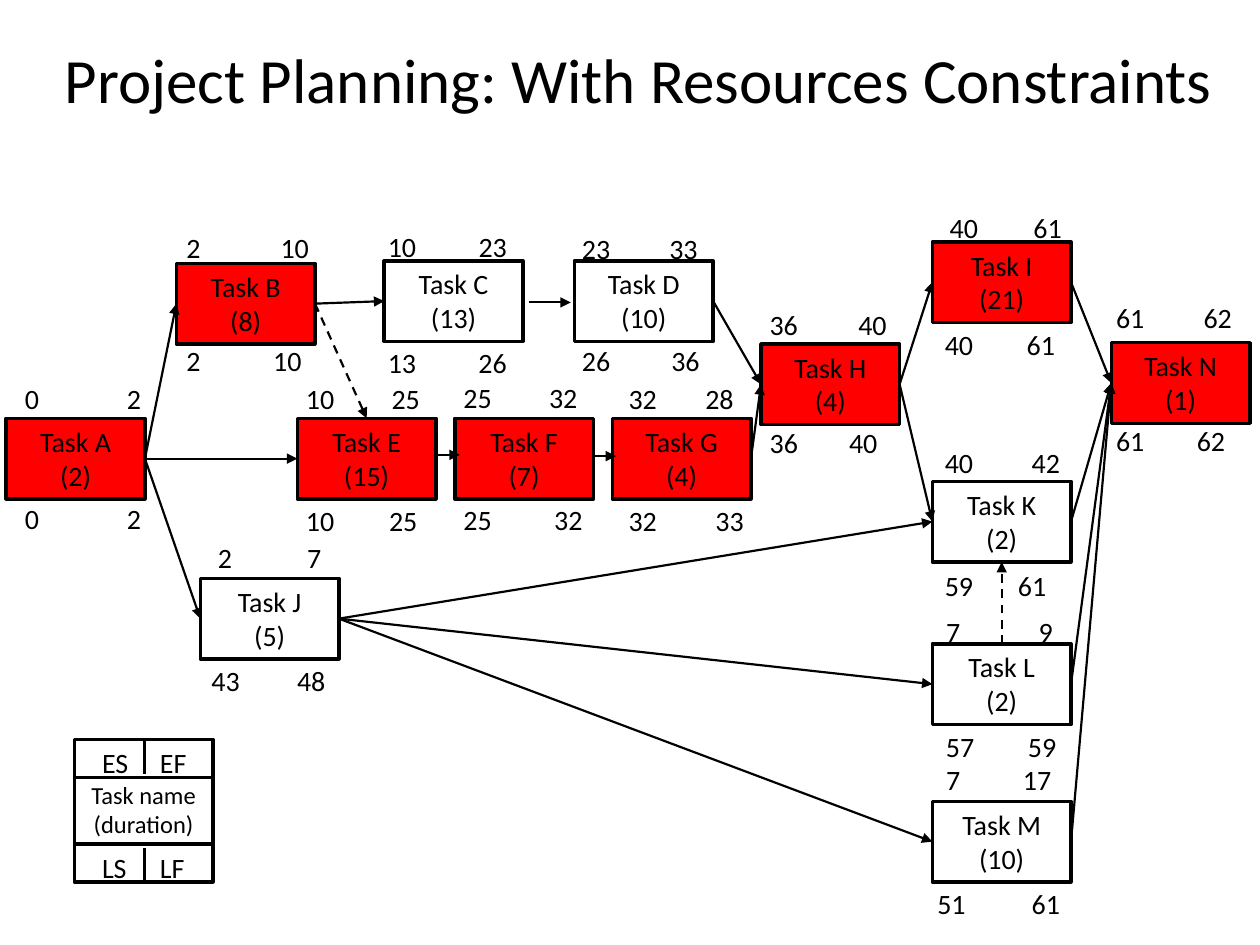
from typing import NamedTuple

from lxml import etree
from pptx import Presentation
from pptx import util as u
from pptx.dml.color import RGBColor
from pptx.enum import dml, shapes, text
from pptx.oxml import ns

BLACK = RGBColor(0x00, 0x00, 0x00)
WHITE = RGBColor(0xFF, 0xFF, 0xFF)
RED = RGBColor(0xFF, 0x00, 0x00)
BOX_W, BOX_H = 1.1, 0.64
LEFT, CENTER, RIGHT = text.PP_ALIGN.LEFT, text.PP_ALIGN.CENTER, text.PP_ALIGN.RIGHT
Point = tuple[float, float]


class Label(NamedTuple):
    value: str
    left: float
    width: float = 0.5
    align: text.PP_ALIGN = LEFT


class Task(NamedTuple):
    name: str
    days: int
    left: float
    top: float
    fill: RGBColor | None
    early_top: float
    late_top: float
    times: tuple[Label, Label, Label, Label]

    @property
    def start(self) -> Point:
        return self.left, self.top + BOX_H / 2

    @property
    def finish(self) -> Point:
        return self.left + BOX_W, self.top + BOX_H / 2

    @property
    def above(self) -> Point:
        return self.left + BOX_W / 2, self.top

    @property
    def below(self) -> Point:
        return self.left + BOX_W / 2, self.top + BOX_H


class LegendRow(NamedTuple):
    start: str
    finish: str
    top: float
    divider_top: float


TASKS = [
    Task("A", 2, 0.05, 3.32, RED, 2.98, 3.93,
         (Label("0", 0.1, 0.26), Label("2", 0.91, 0.26), Label("0", 0.1, 0.26), Label("2", 0.91, 0.26))),
    Task("B", 8, 1.4, 2.09, RED, 1.78, 2.68,
         (Label("2", 1.38, 0.28), Label("10", 1.99, 0.56, RIGHT), Label("2", 1.38, 0.28), Label("10", 2.07, 0.56))),
    Task("C", 13, 3.05, 2.07, None, 1.77, 2.69,
         (Label("10", 2.98, 0.53), Label("23", 3.7, 0.53), Label("13", 2.98, 0.53), Label("26", 3.66, 0.5, CENTER))),
    Task("D", 10, 4.56, 2.07, None, 1.79, 2.68,
         (Label("23", 4.52), Label("33", 5.16, 0.53, CENTER), Label("26", 4.52), Label("36", 5.19, 0.5, CENTER))),
    Task("E", 15, 2.36, 3.32, RED, 2.98, 3.95,
         (Label("10", 2.33), Label("25", 2.94, 0.56, CENTER), Label("10", 2.33, 0.54), Label("25", 2.99))),
    Task("F", 7, 3.61, 3.32, RED, 2.97, 3.94,
         (Label("25", 3.58), Label("32", 4.19, 0.56, CENTER), Label("25", 3.58, 0.59), Label("32", 4.3))),
    Task("G", 4, 4.86, 3.32, RED, 2.98, 3.95,
         (Label("32", 4.89, 0.53), Label("28", 5.5, 0.56), Label("32", 4.89, 0.58), Label("33", 5.58, 0.48))),
    Task("H", 4, 6.04, 2.73, RED, 2.39, 3.33,
         (Label("36", 6.01), Label("40", 6.66, 0.53, CENTER), Label("36", 6.01, 0.58), Label("40", 6.64))),
    Task("I", 21, 7.4, 1.92, RED, 1.62, 2.55,
         (Label("40", 7.4, 0.5, CENTER), Label("61", 8.05, 0.53, CENTER), Label("40", 7.4), Label("61", 8.05, 0.48))),
    Task("J", 5, 1.59, 4.59, WHITE, 4.24, 5.22,
         (Label("2", 1.63, 0.28), Label("7", 2.34, 0.56), Label("43", 1.58, 0.57), Label("48", 2.26, 0.53))),
    Task("K", 2, 7.4, 3.82, WHITE, 3.49, 4.46,
         (Label("40", 7.4, 0.44), Label("42", 8.09), Label("59", 7.4), Label("61", 7.98, 0.55))),
    Task("L", 2, 7.4, 5.11, WHITE, 4.83, 5.74,
         (Label("7", 7.41, 0.28), Label("9", 8.02, 0.56, CENTER), Label("57", 7.41), Label("59", 8.06, 0.52))),
    Task("M", 10, 7.4, 6.36, WHITE, 6.0, 6.99,
         (Label("7", 7.41, 0.28), Label("17", 8.02, 0.56), Label("51", 7.34, 0.52), Label("61", 8.09))),
    Task("N", 1, 8.82, 2.72, RED, 2.34, 3.31,
         (Label("61", 8.76), Label("62", 9.4, 0.53, CENTER), Label("61", 8.76), Label("62", 9.4, 0.53))),
]
LINKS = "AB AE AJ BC DH GH HI HK IN KN LN MN JK JL JM".split()
SHORT_LINKS = [((3.45, 3.61), (3.65, 3.61)), ((4.2, 2.4), (4.53, 2.4)), ((4.7, 3.62), (4.89, 3.62))]
LEGEND_LEFT = 0.59
LEGEND_ROWS = [LegendRow("ES", "EF", 5.87, 5.87), LegendRow("LS", "LF", 6.7, 6.73)]


def write(tf, lines: list[str], size: float = 16, align: text.PP_ALIGN = CENTER) -> None:
    for i, line in enumerate(lines):
        p = tf.paragraphs[0] if i == 0 else tf.add_paragraph()
        p.alignment = align
        r = p.add_run()
        r.text = line
        for name, value in {"name": "Calibri", "size": u.Pt(size)}.items():
            setattr(r.font, name, value)
        r.font.color.rgb = BLACK


def add_box(s, left: float, top: float, height: float, fill: RGBColor | None):
    sp = s.shapes.add_shape(shapes.MSO_SHAPE.RECTANGLE, *map(u.Inches, (left, top, BOX_W, height)))
    sp.shadow.inherit = False
    if fill is None:
        sp.fill.background()
    else:
        sp.fill.solid()
        sp.fill.fore_color.rgb = fill
    sp.line.color.rgb = BLACK
    sp.line.width = u.Pt(2)
    for name, value in {"word_wrap": True, "vertical_anchor": text.MSO_ANCHOR.TOP}.items():
        setattr(sp.text_frame, name, value)
    return sp


def add_line(s, start: Point, end: Point, width: float = 1.25, arrow: bool = True, dashed: bool = False) -> None:
    cx = s.shapes.add_connector(shapes.MSO_CONNECTOR.STRAIGHT, *map(u.Inches, (*start, *end)))
    cx.line.color.rgb = BLACK
    cx.line.width = u.Pt(width)
    if dashed:
        cx.line.dash_style = dml.MSO_LINE.DASH
    spPr = cx._element.spPr
    if arrow:
        etree.SubElement(spPr.find(ns.qn("a:ln")), ns.qn("a:tailEnd"), type="triangle")
    etree.SubElement(spPr, ns.qn("a:effectLst"))


def add_label(s, label: Label, top: float) -> None:
    sp = s.shapes.add_textbox(*map(u.Inches, (label.left, top, label.width, 0.36)))
    sp.text_frame.word_wrap = True
    write(sp.text_frame, [label.value], align=label.align)


def add_task(s, task: Task) -> None:
    sp = add_box(s, task.left, task.top, BOX_H, task.fill)
    write(sp.text_frame, [f"Task {task.name}", f"({task.days})"])


def add_times(s, task: Task) -> None:
    tops = (task.early_top, task.early_top, task.late_top, task.late_top)
    for label, top in zip(task.times, tops):
        add_label(s, label, top)


def add_legend_row(s, row: LegendRow) -> None:
    tf = add_box(s, LEGEND_LEFT, row.top, 0.3, WHITE).text_frame
    tf.margin_left = u.Inches(0.22)
    write(tf, [f"{row.start}\t{row.finish}"], align=LEFT)
    tabs = etree.SubElement(tf.paragraphs[0]._p.get_or_add_pPr(), ns.qn("a:tabLst"))
    etree.SubElement(tabs, ns.qn("a:tab"), pos=str(u.Inches(0.46)), algn="l")
    add_line(s, (1.15, row.divider_top), (1.15, row.divider_top + 0.27), 1.75, arrow=False)


def main() -> None:
    prs = Presentation()
    prs.slide_width, prs.slide_height = u.Inches(10), u.Inches(7.5)
    s = prs.slides.add_slide(prs.slide_layouts[5])
    title = s.shapes.title
    for name, value in {"left": 0.33, "top": 0, "width": 9.48, "height": 1.25}.items():
        setattr(title, name, u.Inches(value))
    title.text_frame.vertical_anchor = text.MSO_ANCHOR.MIDDLE
    write(title.text_frame, ["Project Planning: With Resources Constraints"], 36)

    for task in TASKS:
        add_task(s, task)
    by_name = {task.name: task for task in TASKS}
    for source, target in LINKS:
        add_line(s, by_name[source].finish, by_name[target].start)
    for start, end in SHORT_LINKS:
        add_line(s, start, end)
    add_line(s, by_name["L"].above, by_name["K"].below, dashed=True)
    add_line(s, by_name["B"].finish, by_name["E"].above, dashed=True)

    legend = add_box(s, LEGEND_LEFT, 6.14, 0.57, WHITE)
    write(legend.text_frame, ["Task name", "(duration)"], 14)
    for row in LEGEND_ROWS:
        add_legend_row(s, row)
    for task in TASKS:
        add_times(s, task)
    prs.save("out.pptx")


if __name__ == "__main__":
    main()
